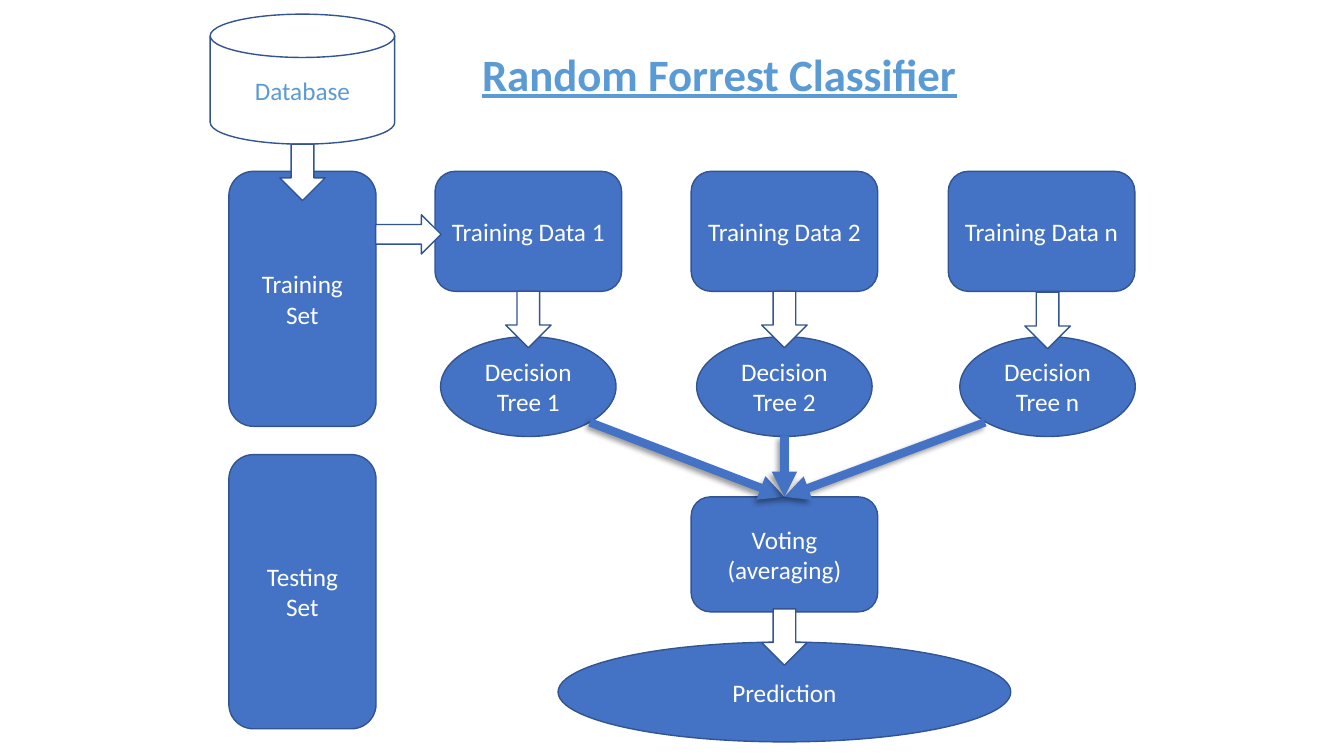
from lxml import etree
from pptx import Presentation
from pptx.dml.color import RGBColor
from pptx.enum.shapes import MSO_CONNECTOR, MSO_SHAPE
from pptx.enum.text import MSO_ANCHOR, MSO_AUTO_SIZE, PP_ALIGN
from pptx.oxml import parse_xml
from pptx.oxml.ns import nsdecls, qn
from pptx.util import Inches, Pt

BLUE = RGBColor(0x44, 0x72, 0xC4)
OUTLINE = RGBColor(0x32, 0x54, 0x91)
SKY = RGBColor(0x5B, 0x9B, 0xD5)
WHITE = RGBColor(0xFF, 0xFF, 0xFF)
FONT = "Calibri"
DISK = MSO_SHAPE.FLOWCHART_MAGNETIC_DISK
ROUNDED = MSO_SHAPE.FLOWCHART_ALTERNATE_PROCESS
OVAL = MSO_SHAPE.OVAL
DOWN = MSO_SHAPE.DOWN_ARROW
RIGHT = MSO_SHAPE.RIGHT_ARROW
STRAIGHT = MSO_CONNECTOR.STRAIGHT
CENTER = PP_ALIGN.CENTER
MIDDLE = MSO_ANCHOR.MIDDLE
FIT_SHAPE = MSO_AUTO_SIZE.SHAPE_TO_FIT_TEXT

TITLE = "Random Forrest Classifier"
SET_CENTER = 3
VOTE_CENTER = 7.78
BRANCHES = [
    ("1", 5.24, 5.24, 2.89),
    ("2", VOTE_CENTER, VOTE_CENTER, 2.89),
    ("n", 10.33, 10.39, 2.9),
]
STAGES = [
    (ROUNDED, "Training\nSet", SET_CENTER, 1.7, 1.46, 2.53),
    (ROUNDED, "Testing\nSet", SET_CENTER, 4.51, 1.46, 2.72),
    (ROUNDED, "Voting\n(averaging)", VOTE_CENTER, 4.93, 1.85, 1.14),
    (OVAL, "Prediction", VOTE_CENTER, 6.37, 4.49, 0.99),
]
VOTE_TOP = (VOTE_CENTER, 4.93)
VOTE_STARTS = [(5.85, 4.19), (9.77, 4.19), (VOTE_CENTER, 4.33)]


def write_text(frame, text, size=18, color=WHITE, bold=False, underline=False):
    frame.word_wrap = True
    frame.vertical_anchor = MIDDLE
    for index, line in enumerate(text.split("\n")):
        para = frame.paragraphs[0] if index == 0 else frame.add_paragraph()
        para.alignment = CENTER
        span = para.add_run()
        span.text = line
        span.font.name = FONT
        span.font.size = Pt(size)
        span.font.color.rgb = color
        span.font.bold = bold
        span.font.underline = underline


def add_box(slide, kind, text, center, top, width, height, fill=BLUE, color=WHITE):
    box = slide.shapes.add_shape(
        kind, Inches(center - width / 2), Inches(top), Inches(width), Inches(height))
    box.shadow.inherit = False
    if fill is None:
        box.fill.background()
    else:
        box.fill.solid()
        box.fill.fore_color.rgb = fill
    box.line.color.rgb = OUTLINE
    box.line.width = Pt(1)
    if text:
        write_text(box.text_frame, text, color=color)


def add_down_arrow(slide, center, top):
    add_box(slide, DOWN, "", center, top, 0.45, 0.56, fill=WHITE)


def add_vote_arrow(slide, start, end):
    arrow = slide.shapes.add_connector(STRAIGHT, *[Inches(value) for value in start + end])
    arrow.line.color.rgb = BLUE
    arrow.line.width = Pt(6)
    etree.SubElement(arrow.line._get_or_add_ln(), qn("a:tailEnd"), type="triangle")
    arrow._element.spPr.append(parse_xml(
        f'<a:effectLst {nsdecls("a")}>'
        f'<a:outerShdw blurRad="{Pt(4)}" dist="{Pt(3)}" dir="8100000" algn="tr" rotWithShape="0">'
        '<a:srgbClr val="000000"><a:alpha val="40000"/></a:srgbClr>'
        '</a:outerShdw></a:effectLst>'))


deck = Presentation()
deck.slide_width = Inches(13.33)
deck.slide_height = Inches(7.5)
page = deck.slides.add_slide(deck.slide_layouts[5])

title = page.shapes.title
title.left, title.top = Inches(4.37), Inches(0.41)
title.width, title.height = Inches(5.53), Inches(0.64)
write_text(title.text_frame, TITLE, size=32, color=SKY, bold=True, underline=True)
title.text_frame.auto_size = FIT_SHAPE

add_box(page, DISK, "Database", SET_CENTER, 0.14, 1.83, 1.29, fill=None, color=SKY)
for stage in STAGES:
    add_box(page, *stage)
for label, data_center, tree_center, arrow_top in BRANCHES:
    add_box(page, ROUNDED, f"Training Data {label}", data_center, 1.7, 1.85, 1.19)
    add_box(page, OVAL, f"Decision Tree {label}", tree_center, 3.34, 1.74, 0.99)
    add_down_arrow(page, tree_center, arrow_top)

add_down_arrow(page, SET_CENTER, 1.43)
add_box(page, RIGHT, "", 4.05, 2.13, 0.65, 0.39, fill=WHITE)
add_down_arrow(page, VOTE_CENTER, 6.04)
for vote_start in VOTE_STARTS:
    add_vote_arrow(page, vote_start, VOTE_TOP)

deck.save("out.pptx")
